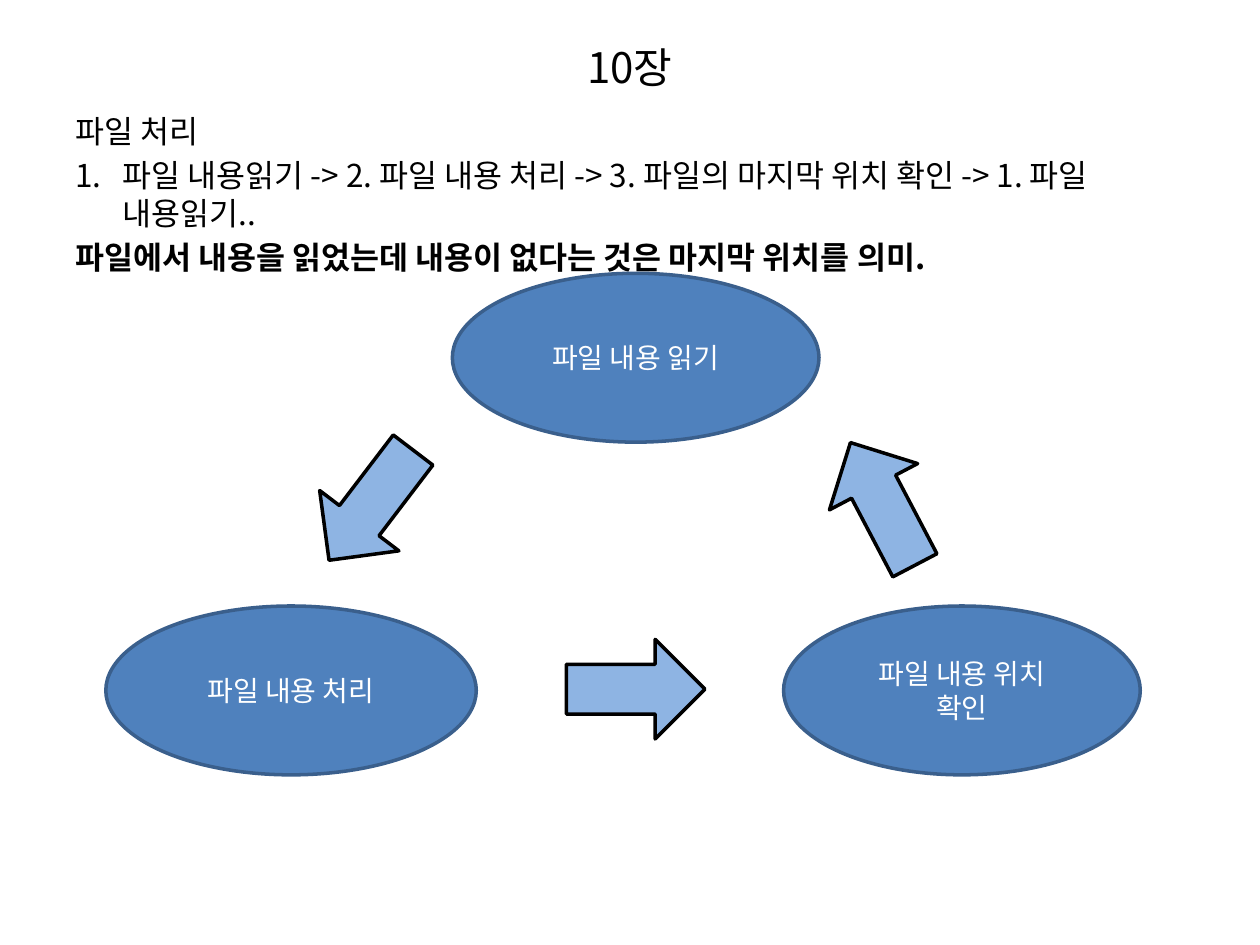
"""Build the slide on the file reading cycle."""
from dataclasses import dataclass

from lxml.etree import SubElement as Sub
from pptx import Presentation as Deck
from pptx.dml.color import RGBColor as RGB
from pptx.enum.shapes import MSO_SHAPE as Kind
from pptx.enum.text import MSO_ANCHOR as Anchor, PP_ALIGN as Align
from pptx.oxml.ns import qn
from pptx.util import Pt


@dataclass(frozen=True)
class Theme:
    font: str = "Noto Sans CJK KR"
    ink: str = "000000"
    light: str = "FFFFFF"
    oval: str = "4F81BD"
    rim: str = "3A5F8C"
    arrow: str = "8EB4E3"
    title: int = 24
    body: int = 18
    label: int = 16
    line: int = 2
    gap: float = 3.6
    indent: float = 27


@dataclass(frozen=True)
class Box:
    left: float
    top: float
    width: float
    height: float


@dataclass(frozen=True)
class Step:
    box: Box
    lines: tuple[str, ...]


@dataclass(frozen=True)
class Arrow:
    box: Box
    turn: float


THEME = Theme()
TITLE = Box(36, 21.6, 648, 33.1)
BODY = Box(36, 60.5, 648, 421.9)
INTRO = "파일 처리"
CYCLE = "파일 내용읽기 -> 2. 파일 내용 처리 -> 3. 파일의 마지막 위치 확인 -> 1. 파일 내용읽기.."
RULE = "파일에서 내용을 읽었는데 내용이 없다는 것은 마지막 위치를 의미."
STEPS = (
    Step(Box(258.5, 156.2, 209.5, 96.5), ("파일 내용 읽기",)),
    Step(Box(60.5, 346.3, 211.7, 96.5), ("파일 내용 처리",)),
    Step(Box(447.8, 346.3, 203.8, 96.5), ("파일 내용 위치", "확인")),
)
ARROWS = (
    Arrow(Box(183.6, 249.1, 56.9, 79.2), 37.3),
    Arrow(Box(475.9, 248.4, 56.9, 79.2), 152.3),
    Arrow(Box(334.8, 354.2, 56.9, 79.2), 270),
)


def place(box: Box) -> tuple[Pt, ...]:
    return tuple(Pt(n) for n in (box.left, box.top, box.width, box.height))


def write(frame, lines: tuple[str, ...], size: int, ink: str, align: Align) -> list:
    frame.word_wrap = True
    frame.text = "\n".join(lines)
    for para in frame.paragraphs:
        para.alignment = align
        font = para.font
        font.size, font.name = Pt(size), THEME.font
        font.color.rgb = RGB.from_string(ink)
        props = para._p.pPr.find(qn("a:defRPr"))
        Sub(props, qn("a:ea")).set("typeface", THEME.font)
    return list(frame.paragraphs)


def number(para) -> None:
    props = para._p.pPr
    props.set("marL", str(Pt(THEME.indent)))
    props.set("indent", str(-Pt(THEME.indent)))
    mark = Sub(props, qn("a:buAutoNum"))
    mark.set("type", "arabicPeriod")
    props.find(qn("a:defRPr")).addprevious(mark)


def draw(shapes, kind: Kind, box: Box, fill: str, line: str):
    shape = shapes.add_shape(kind, *place(box))
    shape.shadow.inherit = False
    shape.fill.solid()
    shape.fill.fore_color.rgb = RGB.from_string(fill)
    shape.line.color.rgb = RGB.from_string(line)
    shape.line.width = Pt(THEME.line)
    return shape


def draw_step(shapes, step: Step) -> None:
    shape = draw(shapes, Kind.OVAL, step.box, THEME.oval, THEME.rim)
    shape.text_frame.vertical_anchor = Anchor.MIDDLE
    write(shape.text_frame, step.lines, THEME.label, THEME.light, Align.CENTER)


def draw_arrow(shapes, arrow: Arrow) -> None:
    shape = draw(shapes, Kind.DOWN_ARROW, arrow.box, THEME.arrow, THEME.ink)
    shape.rotation = arrow.turn


def main() -> None:
    deck = Deck()
    deck.slide_width, deck.slide_height = Pt(720), Pt(540)
    slide = deck.slides.add_slide(deck.slide_layouts[6])

    head = slide.shapes.add_textbox(*place(TITLE)).text_frame
    head.vertical_anchor = Anchor.MIDDLE
    write(head, ("10장",), THEME.title, THEME.ink, Align.CENTER)

    body = slide.shapes.add_textbox(*place(BODY)).text_frame
    paras = write(body, (INTRO, CYCLE, RULE), THEME.body, THEME.ink, Align.LEFT)
    for para in paras:
        para.space_before = Pt(THEME.gap)
    number(paras[1])
    paras[2].font.bold = True

    group = slide.shapes.add_group_shape()
    for step in STEPS:
        draw_step(group.shapes, step)
    for arrow in ARROWS:
        draw_arrow(group.shapes, arrow)
    deck.save("out.pptx")


if __name__ == "__main__":
    main()
